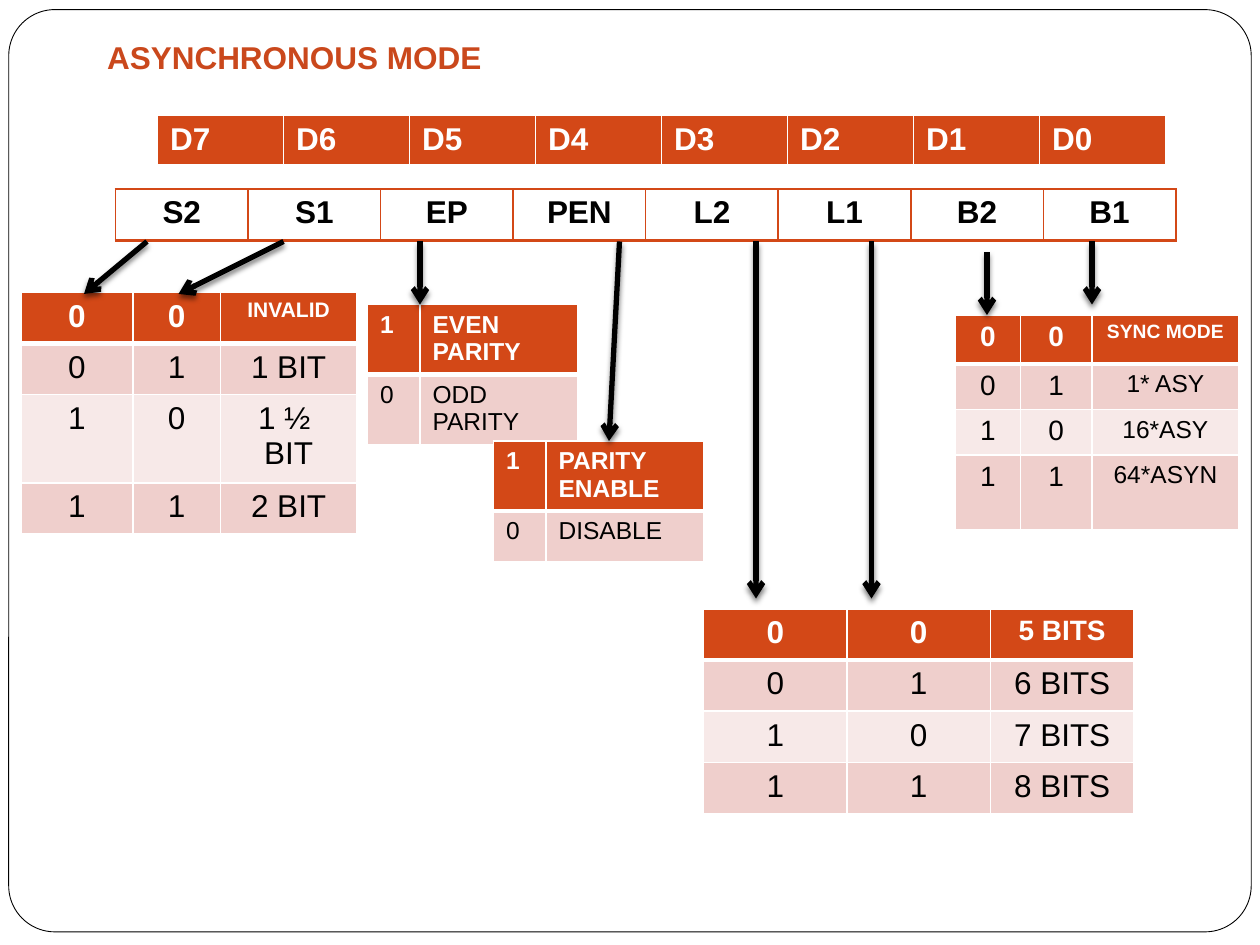
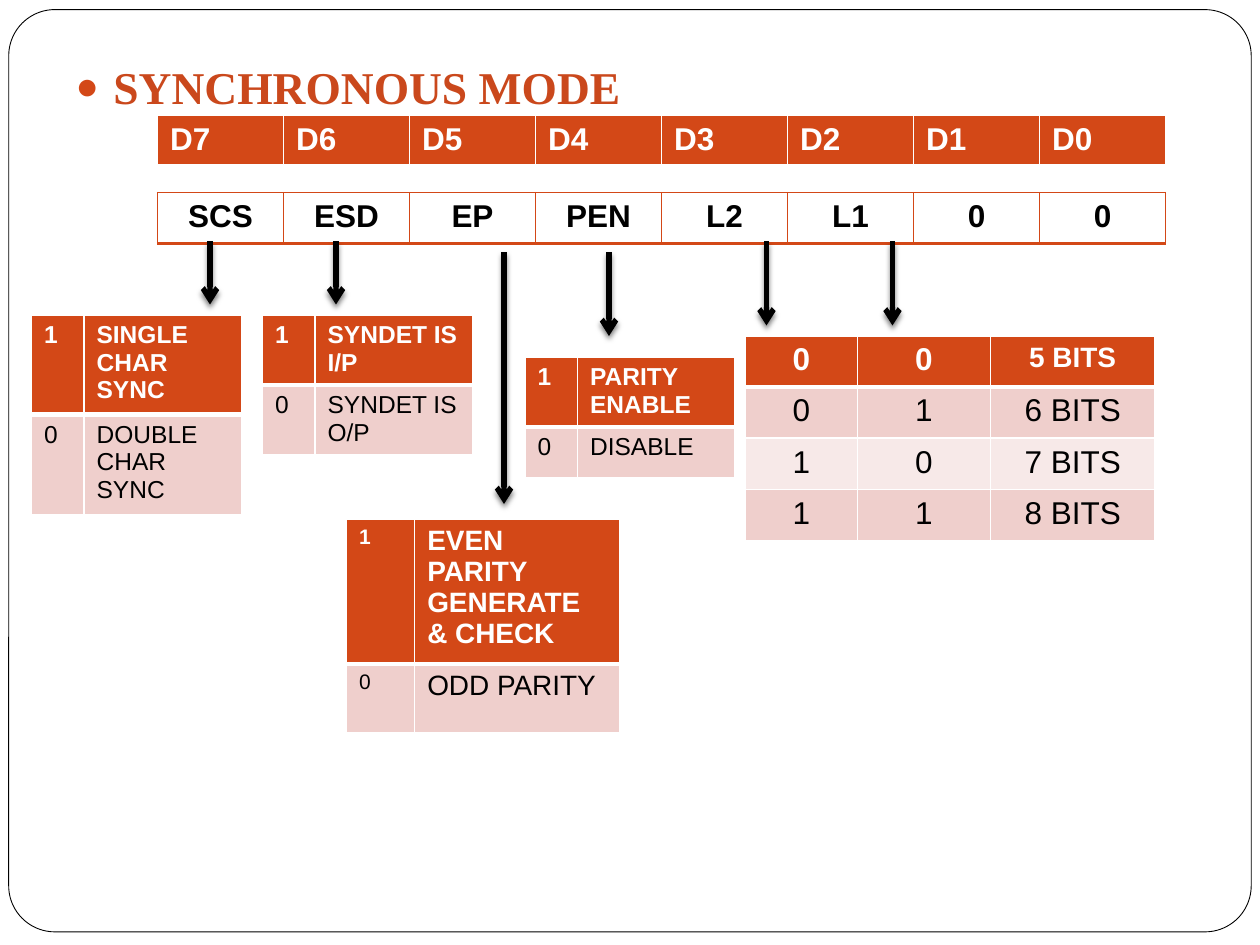
from lxml.etree import SubElement
from pptx import Presentation
from pptx.dml.color import RGBColor as RGB
from pptx.enum.shapes import MSO_CONNECTOR as CONN, MSO_SHAPE as SHAPE
from pptx.enum.text import MSO_ANCHOR as ANCHOR, MSO_AUTO_SIZE as AUTO, PP_ALIGN as ALIGN
from pptx.oxml.ns import qn
from pptx.util import Pt

COLORS = {"accent": "D34817", "title": "CA481C", "pink": "EFCFCC",
          "pale": "F7E9E8", "white": "FFFFFF", "black": "000000"}
DATA_BITS = [f"D{n}" for n in range(7, -1, -1)]
PARITY_ENABLE = [["1", "PARITY ENABLE"], ["0", "DISABLE"]]
BIT_PAIRS = [["0", "0"], ["0", "1"], ["1", "0"], ["1", "1"]]
FLAG_WIDTHS = [30, 90]
ROW = 29.2
ONE_LINE, TWO_LINES, THREE_LINES = 28.8, 40, 57


def rgb(name):
    return RGB.from_string(COLORS[name])


def pair_rows(meanings):
    return [pair + [text] for pair, text in zip(BIT_PAIRS, meanings)]


class Deck:
    """Hold the shared style and the current slide, and draw elements in points."""

    def __init__(self):
        self.prs = Presentation()
        self.prs.slide_width, self.prs.slide_height = Pt(720), Pt(540)
        self.slide = None

    def add_slide(self, layout):
        self.slide = self.prs.slides.add_slide(self.prs.slide_layouts[layout])
        sp = self.slide.shapes.add_shape(
            SHAPE.ROUNDED_RECTANGLE, Pt(5), Pt(5.5), Pt(710), Pt(527))
        sp.adjustments[0] = 0.05
        sp.shadow.inherit = False
        sp.fill.background()
        sp.line.color.rgb = rgb("black")
        sp.line.width = Pt(0.5)

    def format(self, font, color, **values):
        for key, value in values.items():
            setattr(font, key, value)
        font.color.rgb = rgb(color)

    def heading(self, sp, box, text, size, font):
        for key, value in zip(("left", "top", "width", "height"), box):
            setattr(sp, key, Pt(value))
        tf = sp.text_frame
        settings = {"word_wrap": True, "auto_size": AUTO.NONE, "vertical_anchor": ANCHOR.TOP}
        for key, value in settings.items():
            setattr(tf, key, value)
        p = tf.paragraphs[0]
        p.alignment = ALIGN.LEFT
        r = p.add_run()
        r.text = text
        self.format(r.font, "title", name=font, size=Pt(size), bold=True)
        return p

    def title(self, text):
        self.heading(self.slide.shapes.title, (54, 18, 612, 29), text, 18, "Arial")

    def bullet(self, text):
        title = self.slide.shapes.title._element
        title.getparent().remove(title)
        p = self.heading(self.slide.placeholders[1], (36, 30, 654, 474),
                         text, 26, "Times New Roman")
        p.space_before = Pt(5.8)
        pPr = p._p.get_or_add_pPr()
        pPr.set("marL", str(Pt(21.6)))
        pPr.set("indent", str(-Pt(21.6)))
        SubElement(SubElement(pPr, qn("a:buClr")), qn("a:srgbClr"), val=COLORS["accent"])
        SubElement(pPr, qn("a:buSzPct"), val="85000")
        SubElement(pPr, qn("a:buFont"), typeface="Arial")
        SubElement(pPr, qn("a:buChar"), char="●")

    def borders(self, cell, color, bottom):
        tcPr = cell._tc.get_or_add_tcPr()
        for side, width in (("L", 1), ("R", 1), ("T", 1), ("B", bottom)):
            ln = SubElement(tcPr, qn(f"a:ln{side}"), w=str(Pt(width)))
            SubElement(SubElement(ln, qn("a:solidFill")), qn("a:srgbClr"), val=COLORS[color])

    def cell(self, cell, text, size, align, fill, color, bold, edge):
        self.borders(cell, *edge)
        if fill:
            cell.fill.solid()
            cell.fill.fore_color.rgb = rgb(fill)
        else:
            cell.fill.background()
        p = cell.text_frame.paragraphs[0]
        p.alignment = align
        r = p.add_run()
        r.text = text
        self.format(r.font, color, name="Arial", size=Pt(size), bold=bold)

    def grid(self, x, y, widths, heights):
        frame = self.slide.shapes.add_table(
            len(heights), len(widths), Pt(x), Pt(y), Pt(sum(widths)), Pt(sum(heights)))
        table = frame.table
        table.horz_banding = False
        for column, width in zip(table.columns, widths):
            column.width = Pt(width)
        for row, height in zip(table.rows, heights):
            row.height = Pt(height)
        return table

    def table(self, x, y, widths, heights, rows, head, body=None, align=ALIGN.CENTER):
        table = self.grid(x, y, widths, heights)
        for i, row in enumerate(rows):
            if i == 0:
                sizes, look = head, ("accent", "white", True, ("white", 3))
            else:
                fill = "pink" if i % 2 else "pale"
                sizes, look = body or head, (fill, "black", False, ("white", 1))
            for j, (text, size) in enumerate(zip(row, sizes)):
                self.cell(table.cell(i, j), text, size, align, *look)

    def flag_table(self, x, y, heights, rows, widths=FLAG_WIDTHS, sizes=(14, 14)):
        self.table(x, y, widths, heights, rows, sizes, align=ALIGN.LEFT)

    def length_table(self, x, y, widths):
        rows = pair_rows([f"{n} BITS" for n in range(5, 9)])
        self.table(x, y, widths, [ROW] * 4, rows, (18, 18, 16), (18, 18, 18))

    def registers(self, x, y, width, names):
        self.table(90, 66, [72] * 8, [ROW], [DATA_BITS], [18] * 8, align=ALIGN.LEFT)
        table = self.grid(x, y, [width] * 8, [ROW])
        for j, name in enumerate(names):
            self.cell(table.cell(0, j), name, 18, ALIGN.CENTER,
                      None, "black", True, ("accent", 2))

    def arrow(self, x1, y1, x2, y2):
        line = self.slide.shapes.add_connector(
            CONN.STRAIGHT, Pt(x1), Pt(y1), Pt(x2), Pt(y2))
        line.line.color.rgb = rgb("black")
        line.line.width = Pt(3)
        SubElement(line.line._get_or_add_ln(), qn("a:tailEnd"), type="arrow")
        effects = SubElement(line._element.spPr, qn("a:effectLst"))
        shadow = SubElement(effects, qn("a:outerShdw"), blurRad=str(Pt(3)),
                            dist=str(Pt(2)), dir="5400000", rotWithShape="0")
        color = SubElement(shadow, qn("a:srgbClr"), val=COLORS["black"])
        SubElement(color, qn("a:alpha"), val="50000")

    def arrows(self, *ends):
        for end in ends:
            self.arrow(*end)


def asynchronous(deck):
    deck.add_slide(5)
    deck.title("ASYNCHRONOUS MODE")
    deck.registers(66, 108, 75.75, ["S2", "S1", "EP", "PEN", "L2", "L1", "B2", "B1"])
    deck.table(546, 180, [37, 41, 84], [28, 26, 26, 42.5],
               pair_rows(["SYNC MODE", "1* ASY", "16*ASY", "64*ASYN"]),
               (16, 16, 11), (16, 16, 14))
    deck.table(12, 167, [64, 50, 78], [ROW, ROW, 50.5, ROW],
               pair_rows(["INVALID", "1 BIT", "1 ½  BIT", "2 BIT"]),
               (18, 18, 12), (18, 18, 18))
    deck.flag_table(210, 174, [TWO_LINES] * 2, [["1", "EVEN PARITY"], ["0", "ODD PARITY"]])
    deck.flag_table(282, 252, [TWO_LINES, ONE_LINE], PARITY_ENABLE)
    deck.length_table(402, 348, [82] * 3)
    deck.arrows((84, 138, 48, 168), (162, 138, 102, 168), (240, 138, 240, 174),
                (354, 138, 348, 252), (432, 138, 432, 342), (498, 138, 498, 342),
                (564, 144, 564, 180), (624, 138, 624, 174))


def synchronous(deck):
    deck.add_slide(1)
    deck.bullet("SYNCHRONOUS MODE")
    deck.registers(90, 110, 72, ["SCS", "ESD", "EP", "PEN", "L2", "L1", "0", "0"])
    deck.flag_table(18, 180, [THREE_LINES] * 2,
                    [["1", "SINGLE CHAR SYNC"], ["0", "DOUBLE CHAR SYNC"]])
    deck.flag_table(150, 180, [TWO_LINES] * 2,
                    [["1", "SYNDET IS I/P"], ["0", "SYNDET IS O/P"]])
    deck.flag_table(198, 296.5, [83, 39],
                    [["1", "EVEN PARITY GENERATE & CHECK"], ["0", "ODD PARITY"]],
                    [39, 117], (12, 16))
    deck.flag_table(300, 204, [TWO_LINES, ONE_LINE], PARITY_ENABLE)
    deck.length_table(426, 192, [64, 76, 94])
    deck.arrows((120, 138, 120, 174), (192, 138, 192, 174), (288, 144, 288, 288),
                (348, 144, 348, 192), (438, 138, 438, 186), (510, 138, 510, 186))


def main():
    deck = Deck()
    asynchronous(deck)
    synchronous(deck)
    deck.prs.save("out.pptx")


if __name__ == "__main__":
    main()
